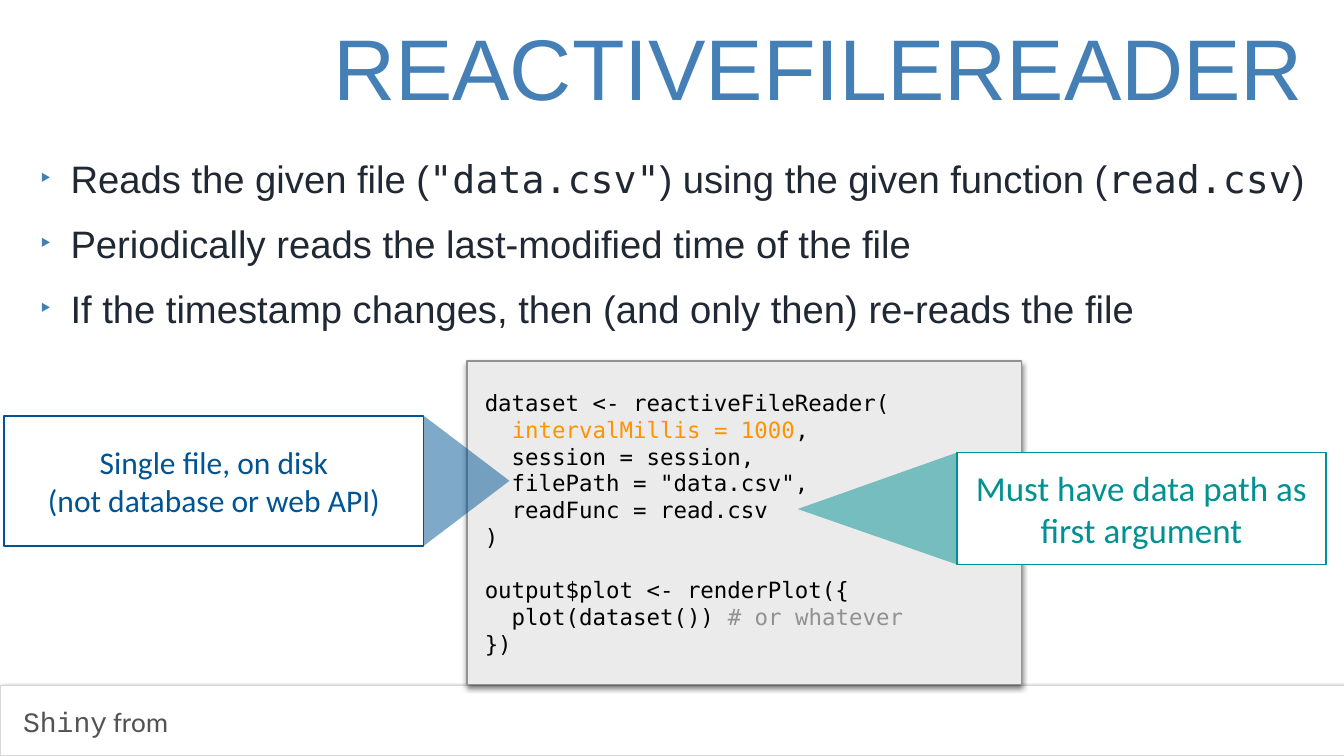
from dataclasses import dataclass
from typing import Optional

from lxml.etree import SubElement
from pptx import Presentation
from pptx.dml.color import RGBColor
from pptx.enum.shapes import MSO_SHAPE
from pptx.enum.text import MSO_ANCHOR, PP_ALIGN
from pptx.oxml.ns import qn
from pptx.util import Inches, Pt

SANS, LABEL, CODE = "Arial", "Calibri", "DejaVu Sans Mono"
BLUE, INK, BLACK = "447FB5", "202833", "000000"


@dataclass
class Run:
    text: str
    color: Optional[str] = None
    font: Optional[str] = None


@dataclass
class Para:
    runs: list[Run]
    before: float = 0


@dataclass
class Callout:
    lines: list[str]
    box: tuple[float, float, float, float]
    tip: tuple[float, float]
    color: str
    size: float


CALLOUTS = [
    Callout(["Single file, on disk", "(not database or web API)"],
            (0.08, 8.25, 8.33, 2.58), (10.11, 9.54), "005493", 45),
    Callout(["Must have data path as first argument"],
            (18.99, 8.98, 7.32, 2.22), (15.83, 10.1), "009193", 50),
]

BULLETS = [
    Para([Run("Reads the given file ("), Run('"data.csv"', font=CODE),
          Run(") using the given function ("), Run("read.csv", font=CODE), Run(")")]),
    Para([Run("Periodically reads the last-modified time of the file")], 27),
    Para([Run("If the timestamp changes, then (and only then) re-reads the file")], 27),
]

LISTING = [
    Para([Run("dataset <- reactiveFileReader(")]),
    Para([Run("  "), Run("intervalMillis = 1000", "FF9300"), Run(",")]),
    Para([Run("  session = session,")]),
    Para([Run('  filePath = "data.csv",')]),
    Para([Run("  readFunc = read.csv")]),
    Para([Run(")")]),
    Para([Run("output$plot <- renderPlot({")], 37.25),
    Para([Run("  plot(dataset()) "), Run("# or whatever", "919191")]),
    Para([Run("})")]),
]


def rgb(color: str) -> RGBColor:
    return RGBColor.from_string(color)


def add_bullet(p) -> None:
    pPr = p._p.get_or_add_pPr()
    pPr.set("marL", str(Inches(0.61)))
    pPr.set("indent", str(-Inches(0.61)))
    SubElement(SubElement(pPr, qn("a:buClr")), qn("a:srgbClr"), val=BLUE)
    SubElement(pPr, qn("a:buSzPct"), val="82000")
    SubElement(pPr, qn("a:buFont"), typeface=SANS)
    SubElement(pPr, qn("a:buChar"), char="‣")


def write(sp, paras: list[Para], *, size: float, font: str, color: str,
          align=PP_ALIGN.LEFT, anchor=MSO_ANCHOR.MIDDLE,
          wrap: bool = True, bullets: bool = False) -> None:
    tf = sp.text_frame
    tf.word_wrap = wrap
    tf.vertical_anchor = anchor
    tf.margin_left = tf.margin_right = tf.margin_top = tf.margin_bottom = Inches(0.06)
    for i, para in enumerate(paras):
        p = tf.add_paragraph() if i else tf.paragraphs[0]
        p.alignment = align
        if para.before:
            p.space_before = Pt(para.before)
        if bullets:
            add_bullet(p)
        for run in para.runs:
            r = p.add_run()
            r.text = run.text
            r.font.size = Pt(size)
            r.font.name = run.font or font
            r.font.color.rgb = rgb(run.color or color)


def add_text(s, box: tuple, paras: list[Para], **fmt) -> None:
    write(s.shapes.add_textbox(*map(Inches, box)), paras, **fmt)


def add_box(s, box: tuple, fill: str, line: str, width: float):
    sp = s.shapes.add_shape(MSO_SHAPE.RECTANGLE, *map(Inches, box))
    sp.shadow.inherit = False
    sp.fill.solid()
    sp.fill.fore_color.rgb = rgb(fill)
    sp.line.color.rgb = rgb(line)
    sp.line.width = Pt(width)
    return sp


def add_shadow(sp, alpha: int, blur: float, dist: float) -> None:
    """Drop a black shadow straight down; alpha is in percent."""
    effects = sp._element.spPr.find(qn("a:effectLst"))
    shadow = SubElement(effects, qn("a:outerShdw"), blurRad=str(Pt(blur)),
                        dist=str(Pt(dist)), dir="5400000", rotWithShape="0")
    clr = SubElement(shadow, qn("a:srgbClr"), val=BLACK)
    SubElement(clr, qn("a:alpha"), val=str(alpha * 1000))


def add_callout(s, c: Callout) -> None:
    """Draw a label box and a half-transparent pointer from its side to the tip."""
    sp = add_box(s, c.box, "FFFFFF", c.color, 2)
    write(sp, [Para([Run(line)]) for line in c.lines], size=c.size, font=LABEL,
          color=c.color, align=PP_ALIGN.CENTER)

    left, top, width, height = c.box
    side = left + width if c.tip[0] > left else left
    builder = s.shapes.build_freeform(*map(Inches, c.tip))
    builder.add_line_segments([(Inches(side), Inches(y)) for y in (top + height, top)])
    pointer = builder.convert_to_shape()
    pointer.shadow.inherit = False
    pointer.fill.solid()
    pointer.fill.fore_color.rgb = rgb(c.color)
    pointer.line.fill.background()
    clr = pointer._element.spPr.find(qn("a:solidFill")).find(qn("a:srgbClr"))
    SubElement(clr, qn("a:alpha"), val="50000")


def main() -> None:
    prs = Presentation()
    prs.slide_width, prs.slide_height = Inches(26.67), Inches(15)
    s = prs.slides.add_slide(prs.slide_layouts[6])

    footer = add_box(s, (0.01, 13.6, 26.67, 1.39), "FFFFFF", "D6D6D6", 1)
    add_shadow(footer, 50, 4, 1.6)
    add_text(s, (0.4, 13.93, 3.03, 0.78),
             [Para([Run("Shiny", font="Courier New"), Run(" from")])],
             size=40, font=LABEL, color="535353", wrap=False)

    add_text(s, (0.73, 3.03, 25.3, 4.35), BULLETS, size=54.6, font=SANS, color=INK,
             anchor=MSO_ANCHOR.TOP, bullets=True)
    add_text(s, (0.73, 0.23, 25.21, 2.18), [Para([Run("REACTIVEFILEREADER")])],
             size=123, font=SANS, color=BLUE, align=PP_ALIGN.RIGHT)

    panel = add_box(s, (9.27, 7.16, 11, 6.42), "EBEBEB", "929292", 2)
    add_shadow(panel, 55, 8, 4)
    add_text(s, (9.56, 7.35, 10.54, 6.05), LISTING, size=32, font=CODE, color=BLACK)

    for callout in CALLOUTS:
        add_callout(s, callout)

    prs.save("out.pptx")


if __name__ == "__main__":
    main()
